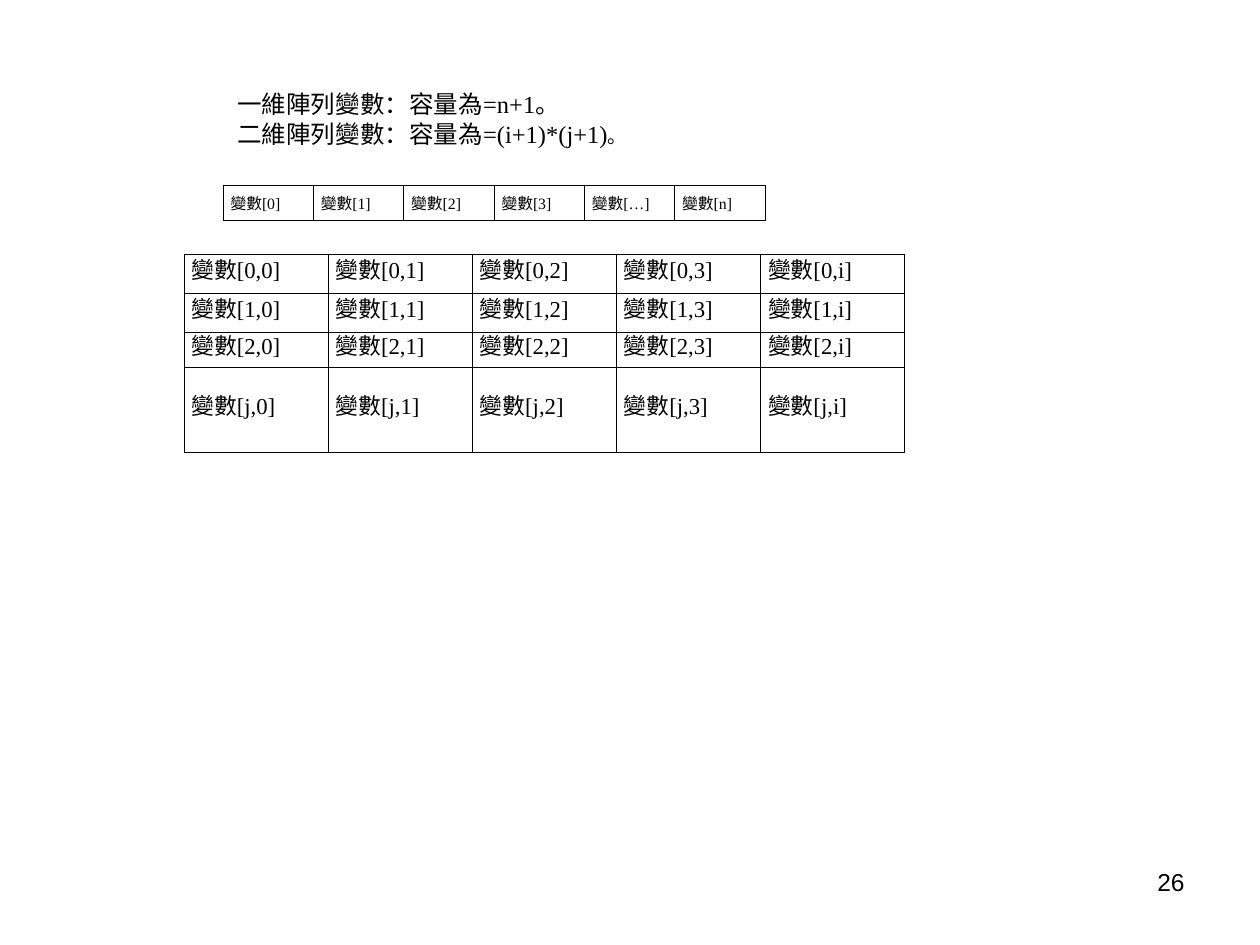
from lxml import etree
from pptx import Presentation
from pptx import util as u
from pptx.dml.color import RGBColor
from pptx.enum import text
from pptx.oxml import ns

SCALE = 914400 / 126  # EMU per px
COLORS = {"ink": "000000", "page": "FFFFFF"}
SERIF, SANS = "Times New Roman", "Arial"


def px(n):
    return u.Emu(round(n * SCALE))


class Deck:
    def __init__(self, wide, high):
        self.prs = Presentation()
        self.prs.slide_width, self.prs.slide_height = px(wide), px(high)
        self.slide = self.prs.slides.add_slide(self.prs.slide_layouts[6])
        fill = self.slide.background.fill
        fill.solid()
        fill.fore_color.rgb = RGBColor.from_string(COLORS["page"])

    def style(self, item, size, face):
        """Set the font of a paragraph or run."""
        item.font.size = u.Pt(size)
        item.font.name = face
        item.font.color.rgb = RGBColor.from_string(COLORS["ink"])

    def label(self, box, lines, size, face, align=text.PP_ALIGN.LEFT):
        """Add a text box; return its paragraphs."""
        frame = self.slide.shapes.add_textbox(*map(px, box)).text_frame
        frame.word_wrap = True
        frame.text = "\n".join(lines)
        for para in frame.paragraphs:
            para.alignment = align
            self.style(para, size, face)
        return frame.paragraphs

    def border(self, cell):
        props = cell._tc.get_or_add_tcPr()
        for i, side in enumerate(("lnL", "lnR", "lnT", "lnB")):
            line = etree.Element(ns.qn("a:" + side), w=str(u.Pt(0.45)))
            fill = etree.SubElement(line, ns.qn("a:solidFill"))
            etree.SubElement(fill, ns.qn("a:srgbClr"), val=COLORS["ink"])
            props.insert(i, line)

    def grid(self, left, top, wide, highs, rows, size, anchor):
        """Add a table of equal columns, with one height per row."""
        cols = len(rows[0])
        table = self.slide.shapes.add_table(
            len(rows), cols, px(left), px(top), px(wide), px(sum(highs))).table
        table.first_row = table.horz_banding = False
        for col in table.columns:
            col.width = px(wide / cols)
        for row, high, words in zip(table.rows, highs, rows):
            row.height = px(high)
            for cell, word in zip(row.cells, words):
                self.fill(cell, word, size, anchor)

    def fill(self, cell, word, size, anchor):
        cell.fill.background()
        self.border(cell)
        cell.vertical_anchor = anchor
        cell.margin_left = cell.margin_right = u.Inches(0.02)
        cell.margin_top = cell.margin_bottom = u.Inches(0.05)
        cell.text = word
        para = cell.text_frame.paragraphs[0]
        para._p.get_or_add_pPr().set("marL", str(u.Inches(0.04)))
        para.line_spacing = u.Pt(13)
        para.space_after = u.Pt(1)
        self.style(para, size, SERIF)


def main():
    deck = Deck(1260, 945)
    deck.label((903, 861, 294, 66), ["26"], 14, SANS, text.PP_ALIGN.RIGHT)

    line = [f"變數[{i}]" for i in "0123…n" if i != "…"]
    line = [f"變數[{i}]" for i in "0123…n"]
    deck.grid(223, 185, 542, [23], [line], 9, text.MSO_ANCHOR.TOP)

    plane = [[f"變數[{row},{col}]" for col in "0123i"] for row in "012j"]
    deck.grid(184, 254, 721, [39, 39, 30, 85], plane, 13, text.MSO_ANCHOR.MIDDLE)

    notes = deck.label(
        (225, 83, 440, 94),
        ["一維陣列變數：容量為=n+1。", "二維陣列變數：容量為=(i+1)*(j+1)"],
        14, SERIF)
    stop = notes[1].add_run()
    stop.text = "。"
    deck.style(stop, 11, SERIF)

    deck.prs.save("out.pptx")


if __name__ == "__main__":
    main()
